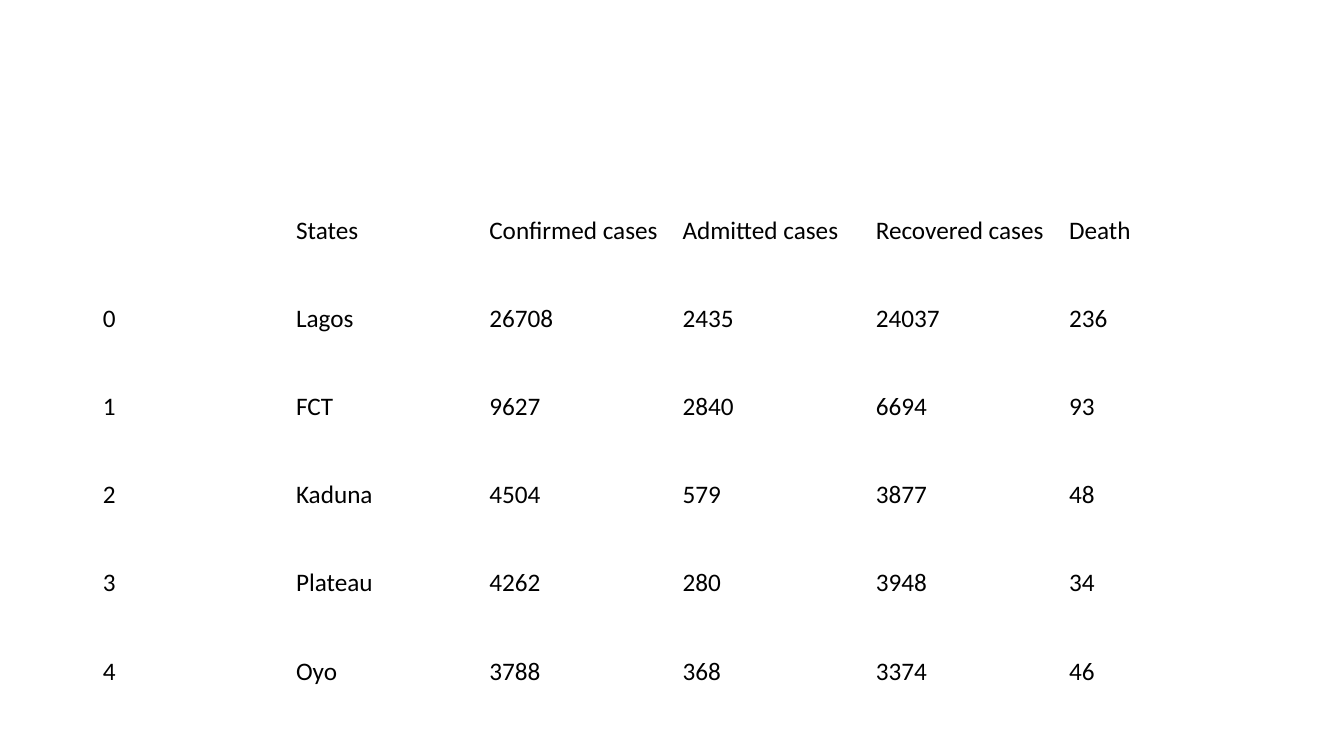
import dataclasses

import pptx
import pptx.dml.color
import pptx.enum.text
import pptx.util


@dataclasses.dataclass(frozen=True)
class Theme:
    font: str = "Calibri"
    body_size: int = 18
    text_colour: str = "000000"


CASES_BY_STATE = [
    ("", "States", "Confirmed cases", "Admitted cases", "Recovered cases", "Death"),
    (0, "Lagos", 26708, 2435, 24037, 236),
    (1, "FCT", 9627, 2840, 6694, 93),
    (2, "Kaduna", 4504, 579, 3877, 48),
    (3, "Plateau", 4262, 280, 3948, 34),
    (4, "Oyo", 3788, 368, 3374, 46),
]


class SlideBuilder:
    def __init__(self, deck, theme):
        self.theme = theme
        self.width, self.height = deck.slide_width, deck.slide_height
        blank_layout = deck.slide_layouts[6]
        self.page = deck.slides.add_slide(blank_layout)

    def table(self, rows, left, top, width, height):
        """Add an unbanded table; the frame is given as shares of the slide."""
        frame = self.page.shapes.add_table(
            len(rows), len(rows[0]),
            round(left * self.width), round(top * self.height),
            round(width * self.width), round(height * self.height),
        )
        grid = frame.table
        grid.first_row = grid.horz_banding = False
        for row, values in zip(grid.rows, rows):
            for cell, value in zip(row.cells, values):
                self.fill_cell(cell, value)

    def fill_cell(self, cell, value):
        cell.fill.background()
        cell.vertical_anchor = pptx.enum.text.MSO_ANCHOR.MIDDLE
        cell.text = str(value)
        font = cell.text_frame.paragraphs[0].font
        font.name = self.theme.font
        font.size = pptx.util.Pt(self.theme.body_size)
        font.color.rgb = pptx.dml.color.RGBColor.from_string(self.theme.text_colour)


def main():
    deck = pptx.Presentation()
    deck.slide_width = pptx.util.Inches(13.33)
    deck.slide_height = pptx.util.Inches(7.5)
    builder = SlideBuilder(deck, Theme())
    builder.table(
        CASES_BY_STATE,
        left=0.92 / 13.33, top=1.85 / 7.5, width=11.5 / 13.33, height=0.7,
    )
    deck.save("out.pptx")


if __name__ == "__main__":
    main()
